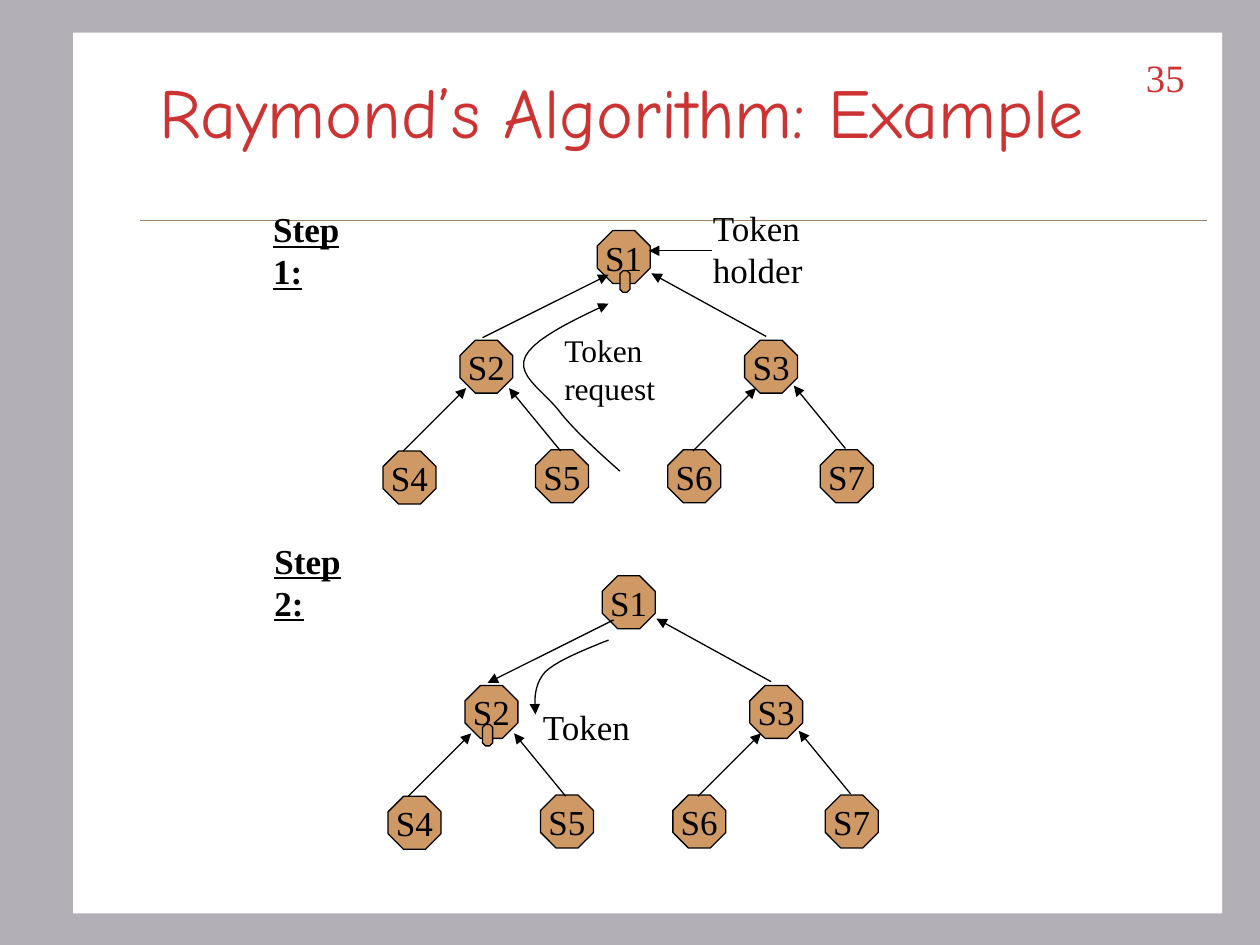
from lxml.etree import SubElement
from pptx import Presentation
from pptx.dml.color import RGBColor
from pptx.enum.shapes import MSO_CONNECTOR, MSO_SHAPE
from pptx.enum.text import MSO_ANCHOR, PP_ALIGN
from pptx.oxml.ns import qn
from pptx.util import Inches, Pt

SERIF = {"name": "Times New Roman", "size": Pt(20)}
RED, BLACK, TAN = "CD3333", "000000", "CE9964"
NODE = 0.42
NODES = {
    "S1": (1.7, 0), "S2": (0.61, 0.87), "S3": (2.87, 0.87), "S4": (0, 1.75),
    "S5": (1.21, 1.74), "S6": (2.26, 1.74), "S7": (3.47, 1.74),
}
LINKS = {
    "S4": (0.16, 1.75, 0.66, 1.25), "S5": (1.41, 1.75, 1, 1.25),
    "S6": (2.46, 1.75, 2.96, 1.25), "S7": (3.67, 1.73, 3.26, 1.23),
    "S2": (0.79, 0.85, 1.79, 0.35), "S3": (3.04, 0.84, 2.13, 0.34),
}


def color(value):
    return RGBColor.from_string(value)


def apply(target, values):
    for name, value in values.items():
        setattr(target, name, value)


def write(shape, lines, font, ink, frame_format, para_format):
    frame = shape.text_frame
    apply(frame, {"word_wrap": False} | frame_format)
    for index, line in enumerate(lines):
        para = frame.add_paragraph() if index else frame.paragraphs[0]
        apply(para, para_format)
        span = para.add_run()
        span.text = line
        apply(span.font, font)
        span.font.color.rgb = color(ink)


def add_text(page, box, lines, font=SERIF, ink=BLACK, frame_format={}, para_format={}):
    shape = page.shapes.add_textbox(*map(Inches, box))
    write(shape, lines, font, ink, frame_format, para_format)


def add_octagon(page, box, label=None):
    shape = page.shapes.add_shape(MSO_SHAPE.OCTAGON, *map(Inches, box))
    shape.shadow.inherit = False
    shape.fill.solid()
    shape.fill.fore_color.rgb = color(TAN)
    shape.line.color.rgb = color(BLACK)
    shape.line.width = Pt(0.75)
    if label:
        write(shape, [label], SERIF, BLACK, {"vertical_anchor": MSO_ANCHOR.MIDDLE},
              {"alignment": PP_ALIGN.CENTER})


def add_arrowhead(line):
    SubElement(line._get_or_add_ln(), qn("a:tailEnd"), type="triangle")


def add_line(page, ends, ink=BLACK, width=0.75, arrow=True):
    line = page.shapes.add_connector(MSO_CONNECTOR.STRAIGHT, *map(Inches, ends))
    line.line.color.rgb = color(ink)
    line.line.width = Pt(width)
    if arrow:
        SubElement(line.line._get_or_add_ln(), qn("a:tailEnd"), type="triangle")
    SubElement(line._element.spPr, qn("a:effectLst"))


def bezier(points, t):
    weights = ((1 - t) ** 3, 3 * t * (1 - t) ** 2, 3 * t * t * (1 - t), t ** 3)
    return tuple(Inches(sum(w * point[axis] for w, point in zip(weights, points)))
                 for axis in (0, 1))


def add_curve(page, points, steps=10):
    start = tuple(map(Inches, points[0]))
    builder = page.shapes.build_freeform(*start)
    builder.add_line_segments(
        [bezier(points[first:first + 4], step / steps)
         for first in range(0, len(points) - 1, 3) for step in range(1, steps + 1)],
        close=False)
    curve = builder.convert_to_shape()
    curve.shadow.inherit = False
    curve.fill.background()
    curve.line.color.rgb = color(BLACK)
    curve.line.width = Pt(0.75)
    add_arrowhead(curve.line)


def draw_frame(page):
    page.background.fill.solid()
    page.background.fill.fore_color.rgb = color("B2B0B6")
    panel = page.shapes.add_shape(MSO_SHAPE.RECTANGLE, *map(Inches, (0.58, 0.26, 9.12, 6.99)))
    panel.shadow.inherit = False
    panel.fill.solid()
    panel.fill.fore_color.rgb = color("FFFFFF")
    panel.line.fill.background()
    add_line(page, (1.11, 1.75, 9.58, 1.75), "A08366", 0.25, arrow=False)


def draw_header(page):
    add_text(page, (1.17, 0.25, 8.5, 1.25), ["Raymond’s Algorithm: Example"],
             {"name": "Comic Neue", "size": Pt(40)}, RED,
             {"vertical_anchor": MSO_ANCHOR.MIDDLE, "word_wrap": True})
    add_text(page, (8.67, 0.42, 0.83, 0.5), ["35"], SERIF | {"size": Pt(22.1)}, RED,
             {"word_wrap": True}, {"alignment": PP_ALIGN.RIGHT, "line_spacing": 0.9})


def draw_tree(page, left, top, token, reversed_links=()):
    for label, (x, y) in NODES.items():
        add_octagon(page, (left + x, top + y, NODE, NODE), label)
    for child, (x1, y1, x2, y2) in LINKS.items():
        ends = (left + x1, top + y1, left + x2, top + y2)
        add_line(page, ends[2:] + ends[:2] if child in reversed_links else ends)
    add_octagon(page, (left + token[0], top + token[1], 0.08, 0.17))


def draw_step_title(page, left, top, title):
    add_text(page, (left, top, 1.02, 0.44), [title], SERIF | {"bold": True, "underline": True})


def draw_request_step(page):
    draw_tree(page, 3.04, 1.83, (1.88, 0.32))
    draw_step_title(page, 2.07, 1.6, "Step 1:")
    add_text(page, (5.56, 1.59, 0.91, 0.77), ["Token", "holder"])
    add_line(page, (5.65, 1.99, 5.15, 1.99))
    add_curve(page, [(4.92, 3.74), (4.73, 3.57), (4.54, 3.4), (4.42, 3.24), (4.29, 3.09),
                     (4.1, 2.97), (4.17, 2.83), (4.24, 2.69), (4.53, 2.55), (4.83, 2.41)])
    add_text(page, (4.38, 2.58, 0.92, 0.7), ["Token", "request"], SERIF | {"size": Pt(18)})


def draw_token_step(page):
    draw_tree(page, 3.08, 4.57, (0.75, 1.18), reversed_links=("S2",))
    draw_step_title(page, 2.08, 4.23, "Step 2:")
    add_curve(page, [(4.83, 5.08), (4.63, 5.16), (4.43, 5.24), (4.33, 5.33),
                     (4.24, 5.43), (4.24, 5.55), (4.25, 5.67)])
    add_text(page, (4.21, 5.55, 0.91, 0.44), ["Token"])


def main():
    deck = Presentation()
    apply(deck, {"slide_width": Inches(10), "slide_height": Inches(7.5)})
    page = deck.slides.add_slide(deck.slide_layouts[6])
    for draw in (draw_frame, draw_header, draw_request_step, draw_token_step):
        draw(page)
    deck.save("out.pptx")


if __name__ == "__main__":
    main()
